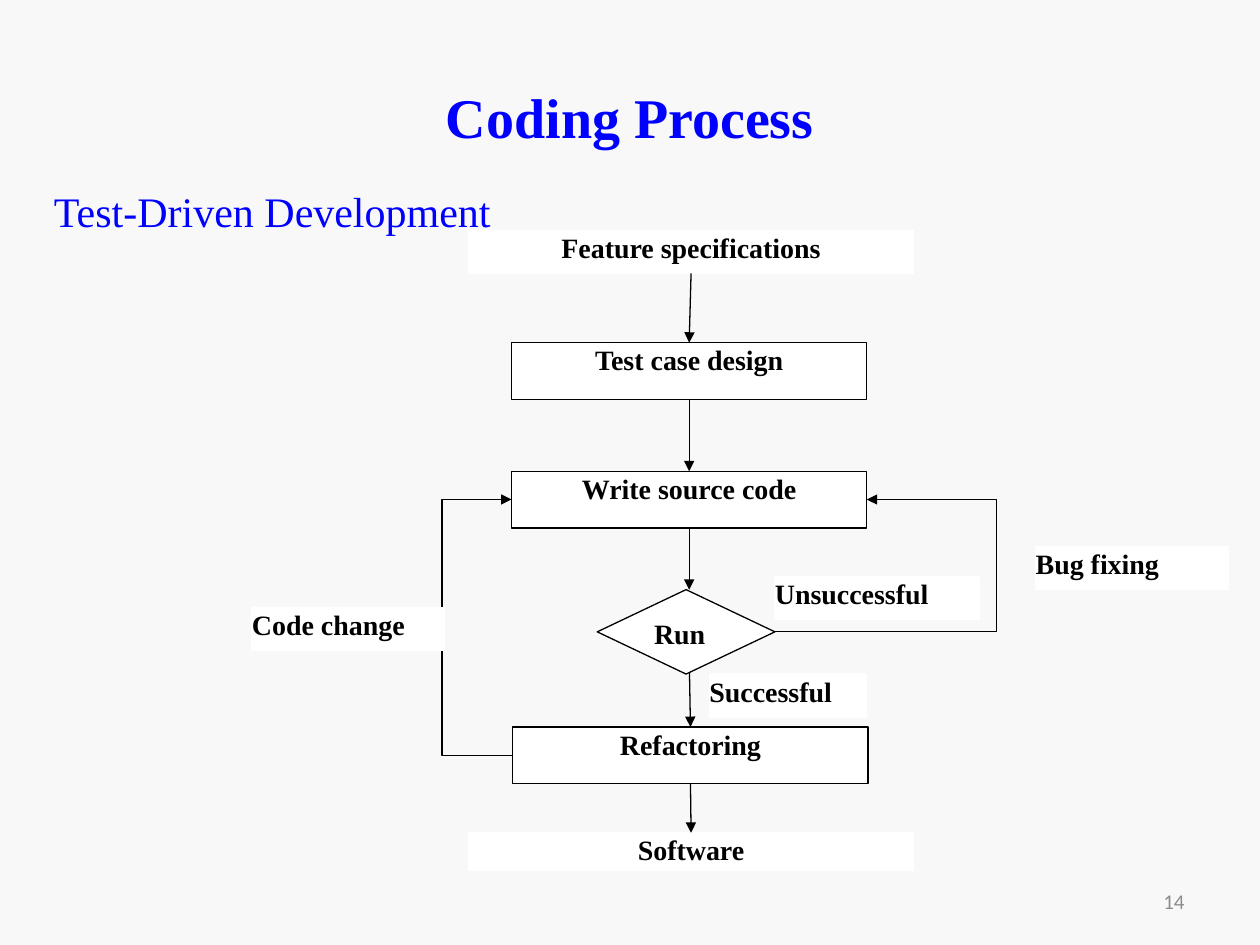
from pptx import Presentation
from pptx.dml.color import RGBColor
from pptx.enum.shapes import MSO_CONNECTOR as Link, MSO_SHAPE as Preset
from pptx.enum.text import MSO_ANCHOR as Anchor, PP_ALIGN as Align
from pptx.oxml.ns import qn
from pptx.util import Inches, Pt
from lxml.etree import SubElement

COLORS = {
    "background": "F8F8F8",
    "heading": "0000FF",
    "ink": "000000",
    "paper": "FFFFFF",
    "number": "8C8C8C",
}
TOP, LEFT, BOTTOM, RIGHT = range(4)
FLOW_X = 5.47


def color(name):
    return RGBColor.from_string(COLORS[name])


def write(frame, text, size=16, font="Times New Roman", ink="ink", bold=True,
          align=Align.LEFT, anchor=Anchor.TOP, after=0, wrap=True, inset=None):
    frame.word_wrap = wrap
    frame.vertical_anchor = anchor
    if inset is not None:
        frame.margin_left = frame.margin_right = Inches(inset)
        frame.margin_top = frame.margin_bottom = Inches(inset)
    paragraph = frame.paragraphs[0]
    paragraph.alignment = align
    paragraph.space_after = Pt(after)
    run = paragraph.add_run()
    run.text = text
    run.font.size = Pt(size)
    run.font.name = font
    run.font.bold = bold
    run.font.color.rgb = color(ink)


def add_text(slide, bounds, text, **style):
    box = slide.shapes.add_textbox(*map(Inches, bounds))
    write(box.text_frame, text, **style)


def add_node(slide, bounds, text, outline="ink", preset=Preset.RECTANGLE,
             align=Align.CENTER, inset=0):
    node = slide.shapes.add_shape(preset, *map(Inches, bounds))
    node.shadow.inherit = False
    node.fill.solid()
    node.fill.fore_color.rgb = color("paper")
    node.line.color.rgb = color(outline)
    node.line.width = Pt(0.75)
    write(node.text_frame, text, align=align, after=10, inset=inset)
    return node


def add_arrow(slide, start, end, source=None, target=None, kind=Link.STRAIGHT):
    arrow = slide.shapes.add_connector(kind, *map(Inches, start + end))
    if source:
        arrow.begin_connect(*source)
    if target:
        arrow.end_connect(*target)
    arrow.line.color.rgb = color("ink")
    arrow.line.width = Pt(0.75)
    properties = arrow._element.spPr
    SubElement(properties.find(qn("a:ln")), qn("a:tailEnd"), type="triangle")
    SubElement(properties, qn("a:effectLst"))
    return arrow


def add_loop(slide, start, end, turn_x, source, target):
    loop = add_arrow(slide, start, end, source, target, kind=Link.ELBOW)
    share = (Inches(turn_x) - loop.begin_x) / (loop.end_x - loop.begin_x)
    adjustments = loop._element.spPr.find(qn("a:prstGeom")).get_or_add_avLst()
    SubElement(adjustments, qn("a:gd"), name="adj1",
               fmla=f"val {round(share * 100000)}")


def main():
    deck = Presentation()
    deck.slide_width, deck.slide_height = Inches(10), Inches(7.5)
    slide = deck.slides.add_slide(deck.slide_layouts[6])
    slide.background.fill.solid()
    slide.background.fill.fore_color.rgb = color("background")

    add_text(slide, (0.5, 0.3, 9, 1.25), "Coding Process", size=32,
             ink="heading", align=Align.CENTER, anchor=Anchor.MIDDLE)
    add_text(slide, (7.17, 6.95, 2.33, 0.4), "14", size=12, font="Calibri",
             ink="number", bold=False, align=Align.RIGHT, anchor=Anchor.MIDDLE)

    features = add_node(slide, (3.72, 1.83, 3.53, 0.34),
                        "Feature specifications", outline="paper")
    design = add_node(slide, (4.06, 2.72, 2.82, 0.45), "Test case design")
    code = add_node(slide, (4.06, 3.74, 2.82, 0.45), "Write source code")
    refactoring = add_node(slide, (4.07, 5.77, 2.82, 0.45), "Refactoring")
    software = add_node(slide, (3.72, 6.61, 3.53, 0.3), "Software",
                        outline="paper")

    for source, target in ((features, design), (design, code),
                           (refactoring, software)):
        add_arrow(slide, (FLOW_X, 0), (FLOW_X, 0),
                  (source, BOTTOM), (target, TOP))
    add_arrow(slide, (FLOW_X, 4.19), (FLOW_X, 4.68), source=(code, BOTTOM))
    add_arrow(slide, (FLOW_X, 5.2), (FLOW_X, 5.77), target=(refactoring, TOP))

    run = add_node(slide, (4.74, 4.68, 1.41, 0.67), "Run",
                   preset=Preset.DIAMOND, align=Align.LEFT, inset=None)
    add_loop(slide, (6.15, 5.02), (6.88, 3.96), 7.91,
             (run, RIGHT), (code, RIGHT))
    add_loop(slide, (4.07, 5.99), (4.06, 3.96), 3.5,
             (refactoring, LEFT), (code, LEFT))

    for text, bounds in (("Bug fixing", (8.22, 4.34, 1.53, 0.34)),
                         ("Unsuccessful", (6.15, 4.58, 1.62, 0.34)),
                         ("Successful", (5.63, 5.35, 1.25, 0.34)),
                         ("Code change", (2, 4.82, 1.53, 0.34))):
        add_node(slide, bounds, text, outline="paper", align=Align.LEFT)

    add_text(slide, (0.33, 1.42, 3.78, 0.5), "Test-Driven Development",
             size=24, ink="heading", bold=False, wrap=False)
    deck.save("out.pptx")


if __name__ == "__main__":
    main()
